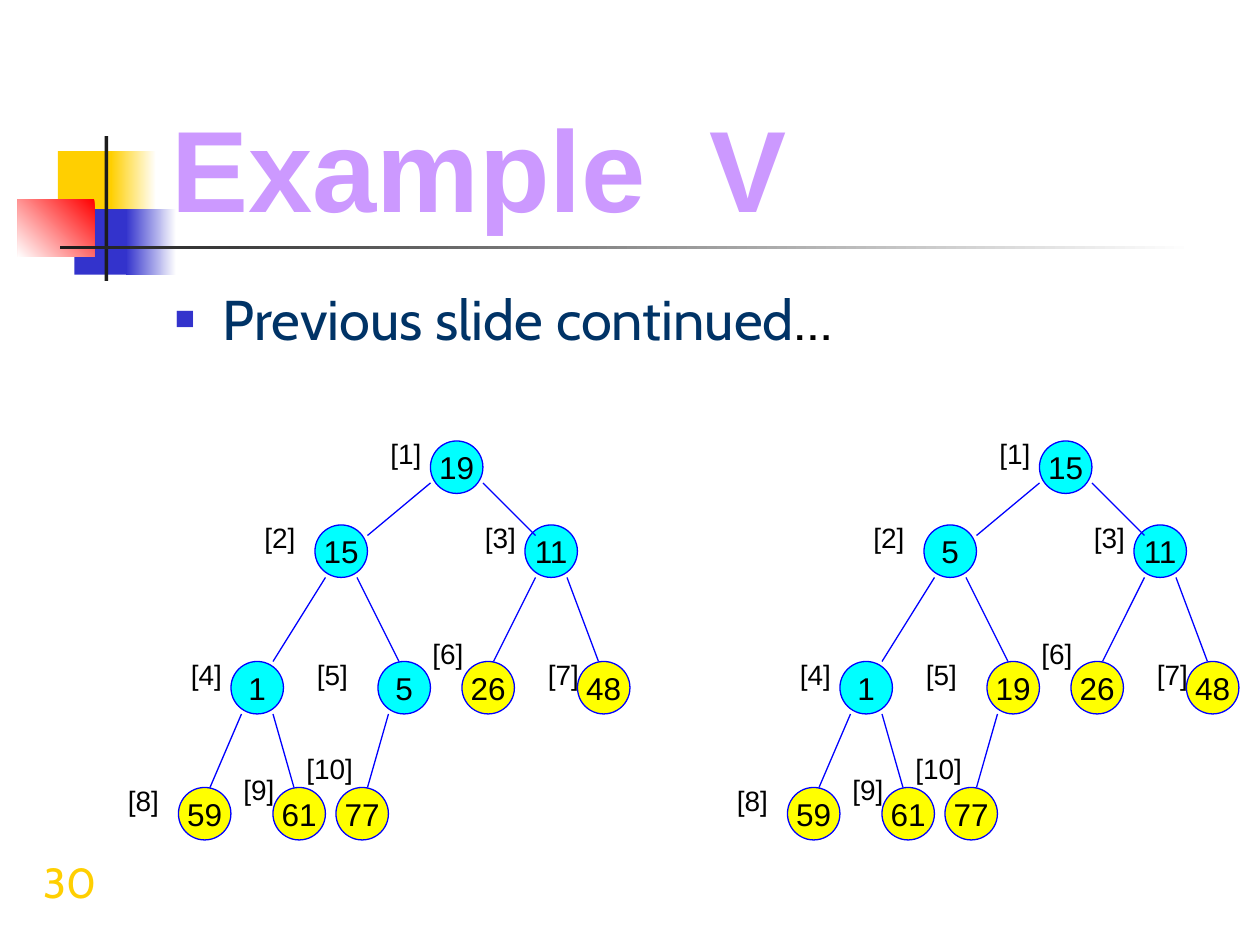
from typing import NamedTuple, Optional

from lxml.etree import SubElement
from pptx import Presentation
from pptx.dml.color import RGBColor
from pptx.enum.shapes import MSO_CONNECTOR as Line, MSO_SHAPE as Shape
from pptx.enum.text import MSO_ANCHOR as Anchor, MSO_AUTO_SIZE as Fit, PP_ALIGN as Align
from pptx.oxml.ns import qn
from pptx.util import Inches, Pt

BLACK = RGBColor(0x00, 0x00, 0x00)
WHITE = RGBColor(0xFF, 0xFF, 0xFF)
GOLD = RGBColor(0xFF, 0xCF, 0x01)
INDIGO = RGBColor(0x33, 0x33, 0xCC)
RED = RGBColor(0xFF, 0x00, 0x00)
COAL = RGBColor(0x1C, 0x1C, 0x1C)
LILAC = RGBColor(0xCC, 0x99, 0xFF)
NAVY = RGBColor(0x00, 0x33, 0x66)
BLUE = RGBColor(0x00, 0x00, 0xFF)
CYAN = RGBColor(0x00, 0xFF, 0xFF)
YELLOW = RGBColor(0xFF, 0xFF, 0x00)

GRID = 12  # grid steps to the inch
SIZE = 5  # node diameter in grid steps


class Bar(NamedTuple):
    left: float
    top: float
    width: float
    height: float
    start: RGBColor
    end: Optional[RGBColor] = None
    angle: int = 180


class Node(NamedTuple):
    """Grid places of a node, its index label and the edge from its parent."""
    left: int
    top: int
    tag: tuple[int, int, int]
    edge: Optional[tuple[int, int, int, int]] = None


class Tree(NamedTuple):
    shift: int
    heap: int  # leading nodes still in the heap
    values: list[int]


BARS = [
    Bar(0.46, 1.2, 0.48, 0.52, GOLD),
    Bar(0.88, 1.2, 0.36, 0.52, WHITE, GOLD),
    Bar(0.59, 1.66, 0.46, 0.52, INDIGO),
    Bar(1, 1.66, 0.4, 0.52, WHITE, INDIGO),
    Bar(0.14, 1.58, 0.61, 0.46, RED, WHITE, 225),
    Bar(0.83, 1.08, 0.03, 1.15, COAL),
    Bar(0.48, 1.95, 9, 0.03, WHITE, COAL),
]
NODES = [
    Node(41, 42, (36, 41, 6)),
    Node(30, 50, (24, 49, 6), (41, 46, 35, 51)),
    Node(50, 50, (45, 49, 7), (46, 46, 51, 51)),
    Node(22, 63, (17, 62, 7), (31, 55, 26, 63)),
    Node(36, 63, (29, 62, 7), (34, 55, 38, 63)),
    Node(44, 63, (40, 60, 6), (51, 55, 47, 63)),
    Node(55, 63, (51, 62, 6), (54, 55, 57, 63)),
    Node(17, 75, (11, 74, 7), (23, 68, 20, 75)),
    Node(26, 75, (22, 73, 7), (26, 68, 28, 75)),
    Node(32, 75, (28, 71, 9), (37, 68, 35, 75)),
]
TREES = [
    Tree(0, 5, [19, 15, 11, 1, 5, 26, 48, 59, 61, 77]),
    Tree(58, 4, [15, 5, 11, 1, 19, 26, 48, 59, 61, 77]),
]


def grid(steps: int) -> int:
    return Inches(steps / GRID)


def add_run(para, text: str, size: int, color: RGBColor, name: str = "Arial", **extra) -> None:
    run = para.add_run()
    run.text = text
    for key, value in dict(size=Pt(size), name=name, **extra).items():
        setattr(run.font, key, value)
    run.font.color.rgb = color


def add_box(shapes, left: int, top: int, width: int, height: int, **form):
    """Add a wrapping text box and return its first paragraph."""
    frame = shapes.add_textbox(left, top, width, height).text_frame
    for key, value in dict(word_wrap=True, **form).items():
        setattr(frame, key, value)
    return frame.paragraphs[0]


def add_bullet(para) -> None:
    props = para._p.get_or_add_pPr()
    for key in ("marL", "indent"):
        props.set(key, str(Inches(0.38 if key == "marL" else -0.38)))
    tint = SubElement(props, qn("a:buClr"))
    SubElement(tint, qn("a:srgbClr"), val=str(INDIGO))
    SubElement(props, qn("a:buSzPct"), val="60000")
    SubElement(props, qn("a:buFont"), typeface="Arial")
    SubElement(props, qn("a:buChar"), char="■")


def draw_bar(shapes, bar: Bar) -> None:
    shape = shapes.add_shape(Shape.RECTANGLE, *map(Inches, bar[:4]))
    shape.shadow.inherit = False
    shape.line.fill.background()
    if bar.end is None:
        shape.fill.solid()
        shape.fill.fore_color.rgb = bar.start
        return
    shape.fill.gradient()
    shape.fill.gradient_angle = bar.angle
    for stop, color, place in zip(shape.fill.gradient_stops, (bar.start, bar.end), (0, 1)):
        stop.color.rgb = color
        stop.position = place


def draw_node(shapes, node: Node, shift: int, value: int, fill: RGBColor) -> None:
    shape = shapes.add_shape(
        Shape.OVAL, grid(node.left + shift), grid(node.top), grid(SIZE), grid(SIZE))
    shape.shadow.inherit = False
    shape.fill.solid()
    shape.fill.fore_color.rgb = fill
    shape.line.color.rgb = BLUE
    shape.line.width = Pt(0.75)
    frame = shape.text_frame
    frame.word_wrap = False
    frame.vertical_anchor = Anchor.MIDDLE
    para = frame.paragraphs[0]
    para.alignment = Align.CENTER
    add_run(para, str(value), 18, BLACK)


def draw_edge(shapes, edge: tuple[int, int, int, int], shift: int) -> None:
    x1, y1, x2, y2 = edge
    line = shapes.add_connector(
        Line.STRAIGHT, grid(x1 + shift), grid(y1), grid(x2 + shift), grid(y2))
    line.line.color.rgb = BLUE
    line.line.width = Pt(0.75)
    SubElement(line._element.spPr, qn("a:effectLst"))


def draw_tag(shapes, tag: tuple[int, int, int], shift: int, index: int) -> None:
    left, top, width = tag
    para = add_box(shapes, grid(left + shift), grid(top), grid(width), Inches(0.37),
                   auto_size=Fit.SHAPE_TO_FIT_TEXT)
    add_run(para, f"[{index}]", 16, BLACK)


def draw_tree(shapes, tree: Tree) -> None:
    for index, (node, value) in enumerate(zip(NODES, tree.values)):
        draw_node(shapes, node, tree.shift, value, CYAN if index < tree.heap else YELLOW)
    for node in NODES:
        if node.edge:
            draw_edge(shapes, node.edge, tree.shift)
    for index, node in enumerate(NODES, 1):
        draw_tag(shapes, node.tag, tree.shift, index)


def main() -> None:
    deck = Presentation()
    deck.slide_width, deck.slide_height = Inches(10), Inches(7.5)
    shapes = deck.slides.add_slide(deck.slide_layouts[6]).shapes

    for bar in BARS:
        draw_bar(shapes, bar)

    title = add_box(shapes, Inches(1.26), Inches(0.67), Inches(8.52), Inches(1.25),
                    vertical_anchor=Anchor.BOTTOM)
    add_run(title, "Example  V", 66, LILAC, bold=True)

    body = add_box(shapes, Inches(1.29), Inches(2.21), Inches(8.5), Inches(0.96))
    add_bullet(body)
    add_run(body, "Previous slide continued", 32, NAVY, "Cabin")
    add_run(body, "…", 32, BLACK, "Cabin")

    for tree in TREES:
        draw_tree(shapes, tree)

    number = add_box(shapes, Inches(0.25), Inches(6.75), Inches(0.67), Inches(0.5),
                     auto_size=Fit.SHAPE_TO_FIT_TEXT)
    add_run(number, "30", 24, GOLD, "Cabin")

    deck.save("out.pptx")


if __name__ == "__main__":
    main()
